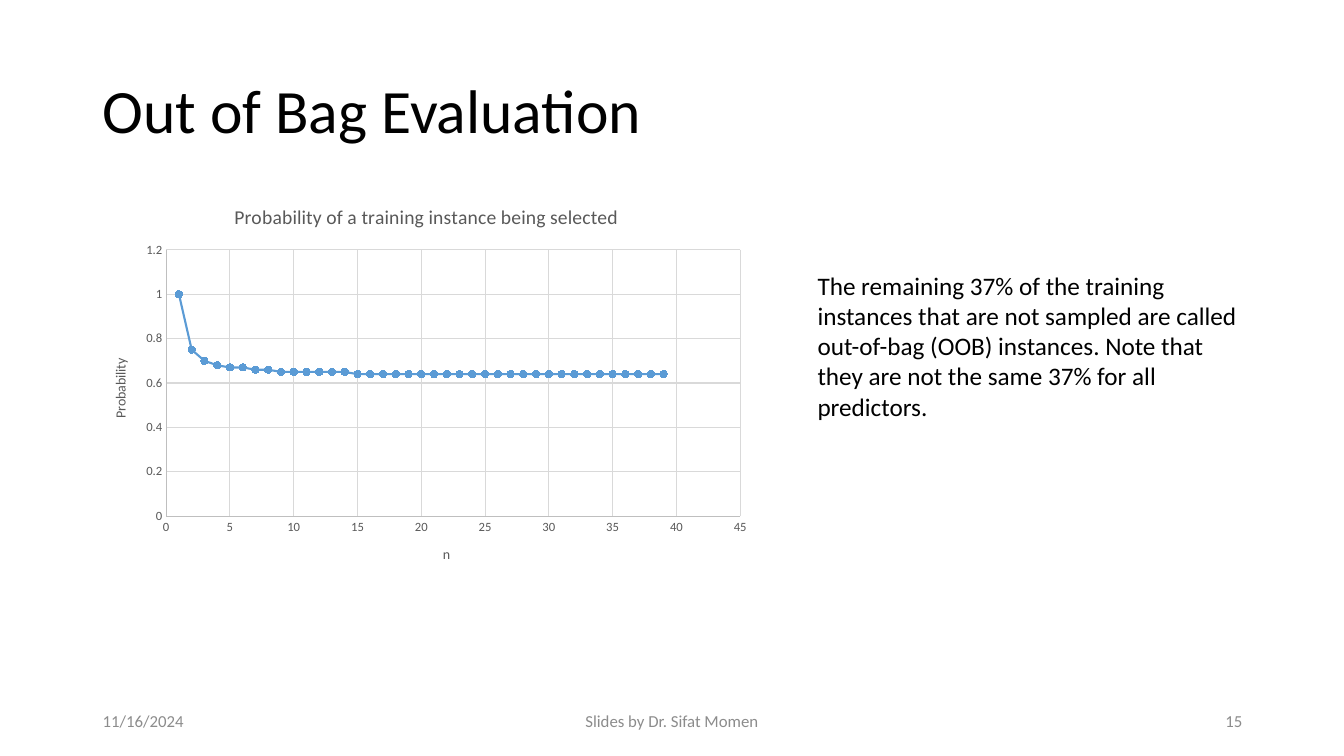
from lxml import etree
from pptx import Presentation
from pptx.chart.data import XyChartData
from pptx.dml.color import RGBColor
from pptx.enum.chart import XL_CHART_TYPE, XL_MARKER_STYLE, XL_TICK_MARK
from pptx.enum.text import MSO_ANCHOR, PP_ALIGN
from pptx.oxml import parse_xml
from pptx.oxml.ns import nsdecls
from pptx.util import Inches, Pt

FONT = "Calibri"
BLACK = RGBColor(0x00, 0x00, 0x00)
GRAY = RGBColor(0x8C, 0x8C, 0x8C)
LABEL = RGBColor(0x59, 0x59, 0x59)
AXIS = RGBColor(0xBF, 0xBF, 0xBF)
GRID = RGBColor(0xD9, 0xD9, 0xD9)
BLUE = RGBColor(0x5B, 0x9B, 0xD5)

WIDE, HIGH = 13.33, 7.5
EDGE = 0.92
FULL = 11.5
RIGHT = EDGE + FULL
FOOT = 6.95
PLOT = {"x": 0.11, "y": 0.16, "w": 0.86, "h": 0.67}

NOTE = ("The remaining 37% of the training instances that are not sampled "
        "are called out-of-bag (OOB) instances. Note that they are not the "
        "same 37% for all predictors.")


def style(font, size, color):
    font.name, font.size, font.bold = FONT, Pt(size), False
    font.color.rgb = color


def add_text(slide, text, box, size, color=BLACK,
             align=PP_ALIGN.LEFT, anchor=MSO_ANCHOR.MIDDLE, gap=1.0):
    frame = slide.shapes.add_textbox(*map(Inches, box)).text_frame
    frame.word_wrap = True
    frame.vertical_anchor = anchor
    para = frame.paragraphs[0]
    para.text = text
    para.alignment = align
    para.line_spacing = gap
    style(para.font, size, color)


def add_foot(slide, text, left, width, align):
    add_text(slide, text, (left, FOOT, width, 0.4), 12, GRAY, align)


def set_title(owner, text, size):
    """Title a chart or an axis."""
    title = owner.chart_title if hasattr(owner, "chart_title") else owner.axis_title
    para = title.text_frame.paragraphs[0]
    para.text = text
    style(para.font, size, LABEL)
    return title


def set_axis(axis, top, step):
    axis.minimum_scale, axis.maximum_scale, axis.major_unit = 0, top, step
    axis.major_tick_mark = axis.minor_tick_mark = XL_TICK_MARK.NONE
    style(axis.tick_labels.font, 9, LABEL)
    axis.has_major_gridlines = True
    for line, color in ((axis.format.line, AXIS),
                        (axis.major_gridlines.format.line, GRID)):
        line.color.rgb = color
        line.width = Pt(0.75)


def place_plot(chart):
    """Fix the inner plot area as shares of the chart."""
    area = chart.plots[0]._element.getparent()
    for old in area.findall("{*}layout"):
        area.remove(old)
    layout = parse_xml(
        f'<c:layout {nsdecls("c")}><c:manualLayout>'
        '<c:layoutTarget val="inner"/><c:xMode val="edge"/><c:yMode val="edge"/>'
        + "".join(f'<c:{key} val="{share}"/>' for key, share in PLOT.items())
        + '</c:manualLayout></c:layout>')
    area.insert(0, layout)


def add_curve(slide, box):
    data = XyChartData()
    points = data.add_series("Series 1")
    for n in range(1, 40):
        points.add_data_point(n, round(1 - (1 - 1 / n) ** n, 2))
    chart = slide.shapes.add_chart(
        XL_CHART_TYPE.XY_SCATTER_LINES, *map(Inches, box), data).chart
    style(chart.font, 10, BLACK)
    chart.has_legend = False
    chart.plots[0].vary_by_categories = False
    set_title(chart, "Probability of a training instance being selected", 14)
    chart.chart_title.include_in_layout = False
    set_axis(chart.category_axis, 45, 5)
    set_axis(chart.value_axis, 1.2, 0.2)
    set_title(chart.category_axis, "n", 10)
    side = set_title(chart.value_axis, "Probability", 10)
    body = side.text_frame._txBody.bodyPr
    body.set("rot", "-5400000")
    body.set("vert", "horz")
    place_plot(chart)

    curve = chart.plots[0].series[0]
    curve.smooth = False
    curve.format.line.color.rgb = BLUE
    curve.format.line.width = Pt(1.5)
    mark = curve.marker
    mark.style, mark.size = XL_MARKER_STYLE.CIRCLE, 5
    mark.format.fill.solid()
    mark.format.fill.fore_color.rgb = BLUE
    mark.format.line.color.rgb = BLUE


def main():
    deck = Presentation()
    deck.slide_width, deck.slide_height = Inches(WIDE), Inches(HIGH)
    slide = deck.slides.add_slide(deck.slide_layouts[6])
    add_text(slide, "Out of Bag Evaluation", (EDGE, 0.4, FULL, 1.45), 44, gap=0.9)
    add_foot(slide, "11/16/2024", EDGE, 3, PP_ALIGN.LEFT)
    add_foot(slide, "Slides by Dr. Sifat Momen", (WIDE - 4.5) / 2, 4.5,
             PP_ALIGN.CENTER)
    add_foot(slide, "15", RIGHT - 3, 3, PP_ALIGN.RIGHT)
    add_curve(slide, (EDGE, 1.85, 6.62, 3.94))
    add_text(slide, NOTE, (RIGHT - 4.41, 2.63, 4.41, 1.92), 18,
             anchor=MSO_ANCHOR.TOP)
    deck.save("out.pptx")


if __name__ == "__main__":
    main()
